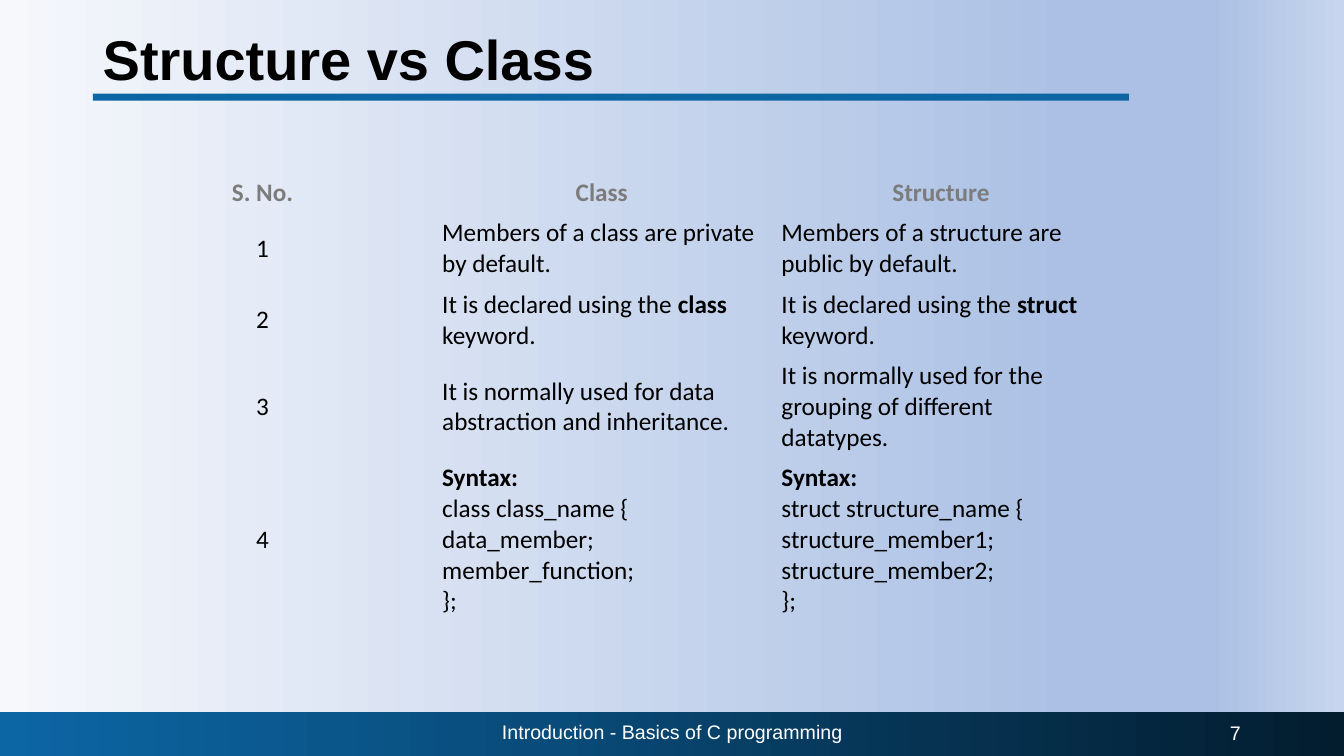
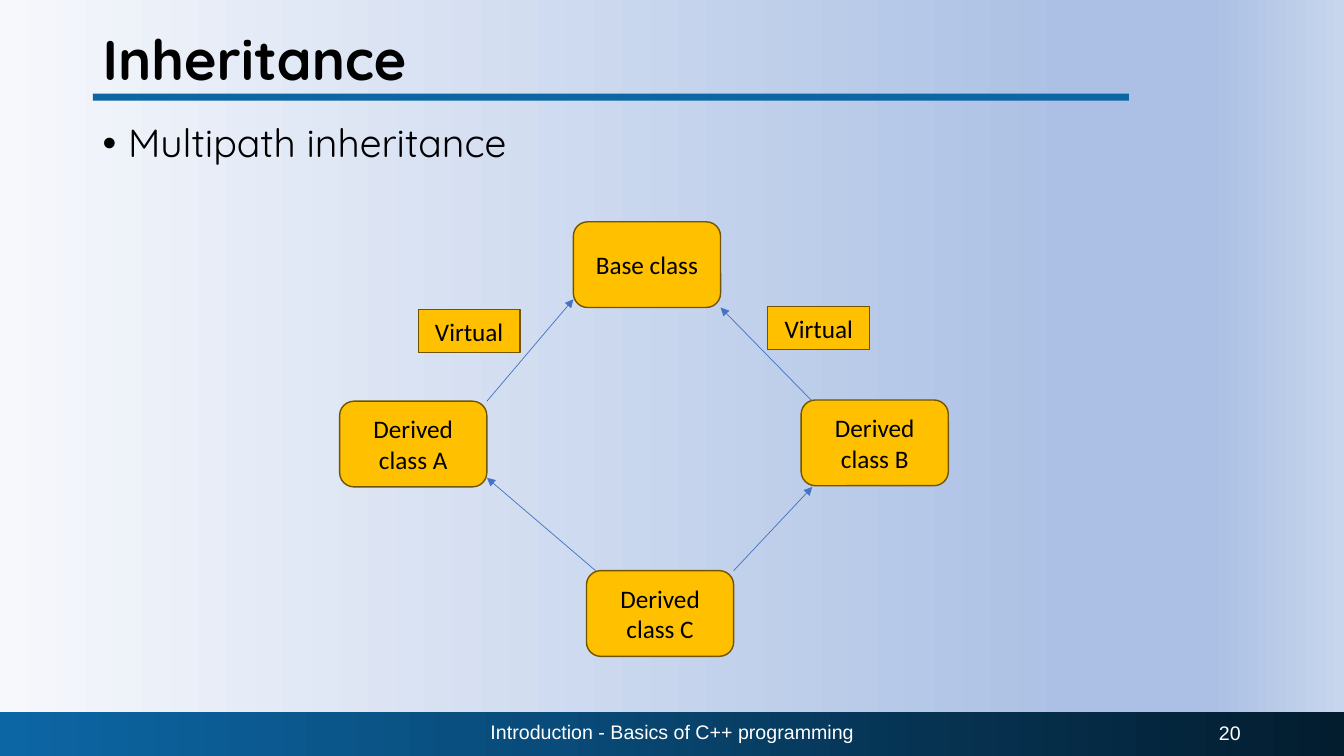
from lxml import etree
from pptx import Presentation
from pptx.dml.color import RGBColor
from pptx.enum.shapes import MSO_CONNECTOR, MSO_SHAPE
from pptx.enum.text import MSO_ANCHOR, PP_ALIGN
from pptx.oxml.ns import qn
from pptx.util import Cm, Pt

LEFT, CENTER, RIGHT = PP_ALIGN.LEFT, PP_ALIGN.CENTER, PP_ALIGN.RIGHT
TOP, MIDDLE = MSO_ANCHOR.TOP, MSO_ANCHOR.MIDDLE
RECT, ROUNDED = MSO_SHAPE.RECTANGLE, MSO_SHAPE.ROUNDED_RECTANGLE
STRAIGHT = MSO_CONNECTOR.STRAIGHT

COLORS = {
    "text": "000000", "header": "7C7C7C", "white": "FFFFFF", "rule": "0C66A4",
    "node": "FFC000", "node_line": "705400", "arrow": "4472C4",
}
PAGE_STOPS = [(0, "F6F8FC"), (80, "ABC0E4"), (90, "ABC0E4"), (100, "C7D5ED")]
BAND_STOPS = [(0, "0C66A4"), (40, "094C7B"), (69, "063352"), (100, "031D2F")]
NO_GRID_STYLE = "{2D5ABB26-0587-4C30-8999-92F81FD0307C}"
WIDTH, HEIGHT = 33.87, 19.05
MARGIN = 2.34


def rgb(name):
    return RGBColor.from_string(COLORS[name])


def write(frame, text, size=18, font="Calibri", color="text", bold=False,
          align=LEFT, anchor=MIDDLE, spacing=None, bullet=False):
    """Fill a text frame: one paragraph per line, **marked** words in bold."""
    frame.word_wrap = True
    frame.vertical_anchor = anchor
    for index, line in enumerate(text.split("\n")):
        paragraph = frame.add_paragraph() if index else frame.paragraphs[0]
        paragraph.alignment = align
        if spacing:
            paragraph.line_spacing = spacing
        if bullet:
            props = paragraph._p.get_or_add_pPr()
            props.set("marL", str(Cm(0.64)))
            props.set("indent", str(-Cm(0.64)))
            etree.SubElement(props, qn("a:buFont"), typeface="Arial")
            etree.SubElement(props, qn("a:buChar"), char="•")
        for part, words in enumerate(line.split("**")):
            if not words:
                continue
            run = paragraph.add_run()
            run.text = words
            run.font.size = Pt(size)
            run.font.name = font
            run.font.bold = bold or part % 2 == 1
            run.font.color.rgb = rgb(color)


def set_gradient(fill, element, stops):
    """Apply a left-to-right gradient with any number of stops."""
    fill.gradient()
    fill.gradient_angle = 0
    stop_list = element.find(".//" + qn("a:gsLst"))
    for old in list(stop_list):
        stop_list.remove(old)
    for percent, color in stops:
        stop = etree.SubElement(stop_list, qn("a:gs"), pos=str(percent * 1000))
        etree.SubElement(stop, qn("a:srgbClr"), val=color)


class Deck:
    def __init__(self):
        self.prs = Presentation()
        self.prs.slide_width, self.prs.slide_height = Cm(WIDTH), Cm(HEIGHT)
        self.slide = None

    def new_slide(self, title, footer, number, title_font="Arial"):
        """Start a slide with background, title, rule and footer band."""
        self.slide = self.prs.slides.add_slide(self.prs.slide_layouts[6])
        set_gradient(self.slide.background.fill, self.slide.element, PAGE_STOPS)
        band = self.box(0, 17.93, WIDTH, 1.12)
        set_gradient(band.fill, band.element, BAND_STOPS)
        self.box(MARGIN, 2.36, 26.11, 0.18, fill="rule")
        self.text(MARGIN, 0.3, 29.21, 2.57, title, size=40, font=title_font,
                  bold=True, spacing=0.9)
        small = dict(size=14, font="Arial", color="white")
        self.text(11.23, 17.93, 11.43, 1.02, footer, align=CENTER, **small)
        self.text(23.9, 17.96, 7.62, 1.02, number, align=RIGHT, **small)

    def text(self, x, y, w, h, text, **style):
        box = self.slide.shapes.add_textbox(Cm(x), Cm(y), Cm(w), Cm(h))
        write(box.text_frame, text, **style)

    def box(self, x, y, w, h, kind=RECT, fill=None, line=None):
        shape = self.slide.shapes.add_shape(kind, Cm(x), Cm(y), Cm(w), Cm(h))
        shape.shadow.inherit = False
        if fill:
            shape.fill.solid()
            shape.fill.fore_color.rgb = rgb(fill)
        if line:
            shape.line.color.rgb = rgb(line)
            shape.line.width = Pt(1)
        else:
            shape.line.fill.background()
        return shape

    def node(self, x, y, w, h, label, kind=ROUNDED):
        shape = self.box(x, y, w, h, kind, "node", "node_line")
        write(shape.text_frame, label, align=CENTER)

    def arrow(self, start, end):
        line = self.slide.shapes.add_connector(
            STRAIGHT, *(Cm(value) for value in start + end))
        line.line.color.rgb = rgb("arrow")
        line.line.width = Pt(0.5)
        etree.SubElement(line.line._get_or_add_ln(), qn("a:tailEnd"),
                         type="triangle")
        etree.SubElement(line.element.spPr, qn("a:effectLst"))

    def table(self, x, y, column_width, rows, line_counts):
        """Add a plain table; row heights follow the number of text lines."""
        columns = len(rows[0])
        heights = [0.25 + 0.775 * count for count in line_counts]
        frame = self.slide.shapes.add_table(
            len(rows), columns, Cm(x), Cm(y),
            Cm(column_width * columns), Cm(sum(heights)))
        table = frame.table
        table.first_row = table.horz_banding = False
        frame.element.find(".//" + qn("a:tableStyleId")).text = NO_GRID_STYLE
        for row, (texts, height) in enumerate(zip(rows, heights)):
            table.rows[row].height = Cm(height)
            for column, text in enumerate(texts):
                cell = table.cell(row, column)
                cell.fill.background()
                cell.vertical_anchor = MIDDLE
                header = row == 0
                write(cell.text_frame, text, bold=header,
                      color="header" if header else "text",
                      align=CENTER if header or column == 0 else LEFT)


def comparison_slide(deck):
    deck.new_slide("Structure vs Class",
                   "Introduction - Basics of C programming", "7")
    rows = [
        ("S. No.", "Class", "Structure"),
        ("1", "Members of a class are private by default.",
         "Members of a structure are public by default."),
        ("2", "It is declared using the **class** keyword.",
         "It is declared using the **struct **keyword."),
        ("3", "It is normally used for data abstraction and inheritance.",
         "It is normally used for the grouping of different datatypes."),
        ("4", "**Syntax:**\nclass class_name {\ndata_member;\n"
              "member_function;\n};",
         "**Syntax:**\nstruct structure_name {\nstructure_member1;\n"
         "structure_member2;\n};"),
    ]
    deck.table(MARGIN, 4.34, 8.55, rows, line_counts=[1, 2, 2, 3, 5])


def inheritance_slide(deck):
    deck.new_slide("Inheritance", "Introduction - Basics of C++ programming",
                   "20", title_font="Quicksand")
    deck.text(MARGIN, 3, 29.21, 14.33, "Multipath inheritance", size=28,
              font="Quicksand", anchor=TOP, spacing=0.9, bullet=True)
    # Classes
    for x, y, label in [(14.45, 5.59, "Base class"),
                        (14.78, 14.38, "Derived class C"),
                        (20.19, 10.08, "Derived class B"),
                        (8.56, 10.11, "Derived class A")]:
        deck.node(x, y, 3.71, 2.16, label)
    # Inheritance paths, from child to parent
    for child, parent in [((12.27, 10.11), (14.45, 7.54)),
                          ((20.47, 10.11), (18.16, 7.75)),
                          ((15.01, 14.38), (12.27, 12.04)),
                          ((18.49, 14.38), (20.47, 12.27))]:
        deck.arrow(child, parent)
    # Labels on the upper paths
    for x, y in [(10.54, 7.8), (19.35, 7.72)]:
        deck.node(x, y, 2.57, 1.09, "Virtual", RECT)


def main():
    deck = Deck()
    comparison_slide(deck)
    inheritance_slide(deck)
    deck.prs.save("out.pptx")


if __name__ == "__main__":
    main()
